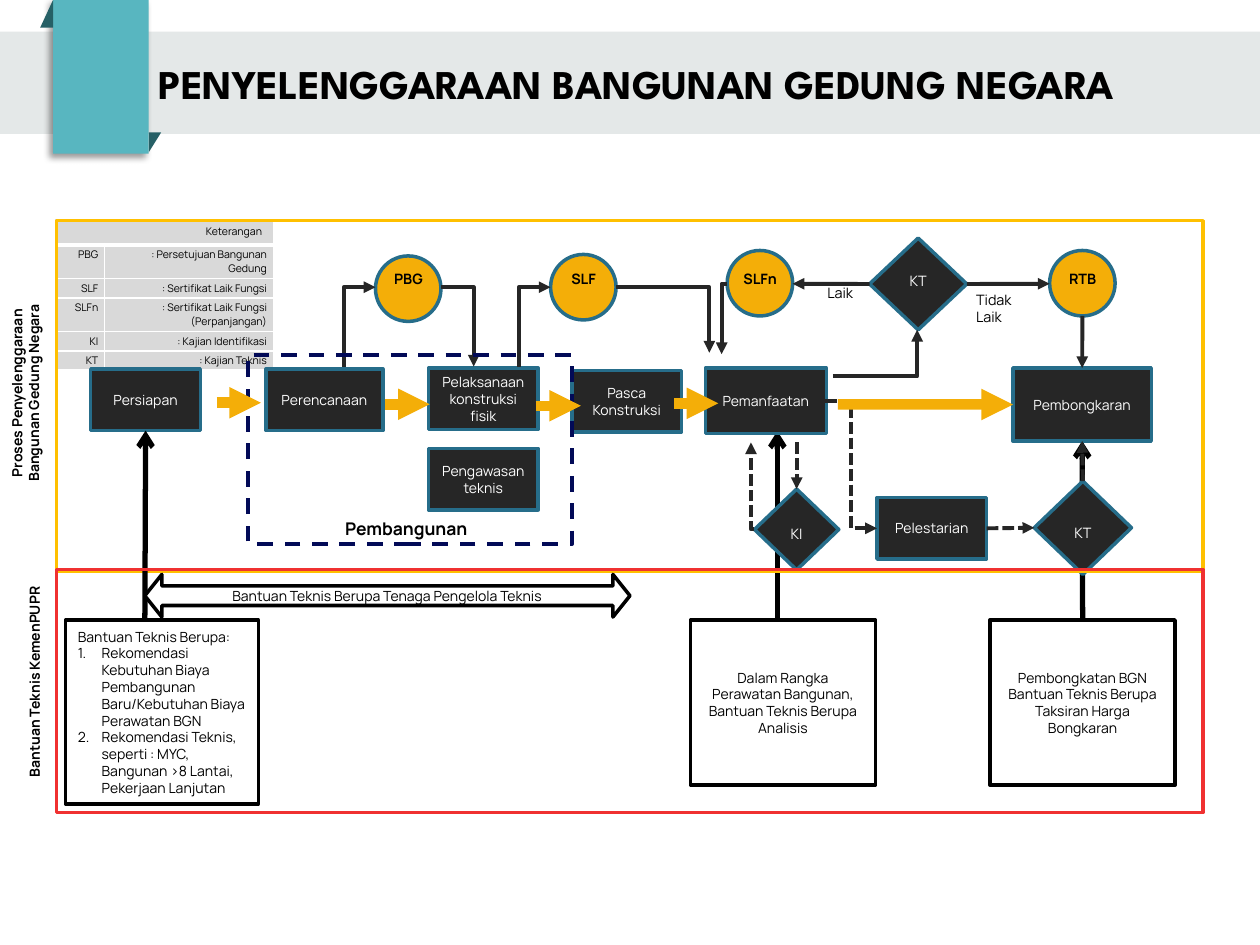
from dataclasses import dataclass

from lxml.etree import SubElement as Sub
from pptx import Presentation
from pptx.dml.color import RGBColor as RGB
from pptx.enum.dml import MSO_LINE as Dash
from pptx.enum.shapes import MSO_CONNECTOR as Con, MSO_SHAPE as Form
from pptx.enum.text import MSO_ANCHOR as Anchor, PP_ALIGN as Align
from pptx.oxml.ns import qn
from pptx.util import Cm, Pt


@dataclass(frozen=True)
class Theme:
    body: str = "Manrope"
    head: str = "League Spartan"
    black: str = "000000"
    white: str = "FFFFFF"
    dark: str = "262626"
    edge: str = "266D8A"
    gold: str = "F4AE08"
    band: str = "E4E8E8"
    teal: str = "58B6C0"
    fold: str = "266060" + ""
    grey: str = "D9D9D9"
    navy: str = "020A57"
    amber: str = "FFC000"
    red: str = "F03131"
    title: float = 23.3
    group: float = 10
    mark: float = 8.2
    text: float = 8
    key: float = 6


T = Theme(fold="266066")
MID, LEFT, RIGHT = Align.CENTER, Align.LEFT, Align.RIGHT
TOP_SIDE, LEFT_SIDE, LOW_SIDE, RIGHT_SIDE = range(4)
KEYS = [
    ("PBG", ": Persetujuan Bangunan Gedung"),
    ("SLF", ": Sertifikat Laik Fungsi"),
    ("SLFn", ": Sertifikat Laik Fungsi (Perpanjangan)"),
    ("KI", ": Kajian Identifikasi"),
    ("KT", ": Kajian Teknis"),
]


def write(frame, text, size=T.text, color=T.black, font=T.body, bold=False,
          align=MID, hang=0, listed=False):
    """Fill a frame, one paragraph a line; listed numbers all but the first."""
    for i, line in enumerate(text.split("\n")):
        para = frame.add_paragraph() if i else frame.paragraphs[0]
        para.alignment = align
        if hang:
            prop = para._p.get_or_add_pPr()
            prop.set("marL", str(Cm(hang)))
            prop.set("indent", str(-Cm(hang)))
            if listed and i:
                Sub(prop, qn("a:buAutoNum"), type="arabicPeriod")
        run = para.add_run()
        run.text = line
        run.font.name, run.font.size, run.font.bold = font, Pt(size), bold
        run.font.color.rgb = RGB.from_string(color)


def paint(shape, fill=None, edge=None, width=2):
    shape.shadow.inherit = False
    if fill:
        shape.fill.solid()
        shape.fill.fore_color.rgb = RGB.from_string(fill)
    else:
        shape.fill.background()
    if edge:
        shape.line.color.rgb = RGB.from_string(edge)
        shape.line.width = Pt(width)
    else:
        shape.line.fill.background()
    return shape


def block(slide, x, y, w, h, text="", form=Form.RECTANGLE, fill=None,
          edge=None, width=2, **style):
    shape = slide.shapes.add_shape(form, Cm(x), Cm(y), Cm(w), Cm(h))
    paint(shape, fill, edge, width)
    if text:
        shape.text_frame.word_wrap = True
        shape.text_frame.vertical_anchor = Anchor.MIDDLE
        write(shape.text_frame, text, **style)
    return shape


def step(slide, text, x, y, w=2.21, h=1.24):
    return block(slide, x, y, w, h, text, fill=T.dark, edge=T.edge,
                 color=T.white)


def label(slide, text, x, y, w, h=0.61, turn=0, wrap=True, **style):
    box = slide.shapes.add_textbox(Cm(x), Cm(y), Cm(w), Cm(h))
    box.rotation = turn
    box.text_frame.word_wrap = wrap
    write(box.text_frame, text, **style)


def permit(slide, text, x, y):
    block(slide, x, y, 1.32, 1.32, form=Form.OVAL, fill=T.gold, edge=T.edge)
    label(slide, text, x + 0.07, 5.33, 1.19, wrap=False, size=T.mark, bold=True)


def study(slide, text, x, y, w, h, top):
    gem = block(slide, x, y, w, h, form=Form.DIAMOND, fill=T.dark, edge=T.edge)
    label(slide, text, x + w / 2 - 0.6, top, 1.2, wrap=False, size=T.mark,
          color=T.white)
    return gem


def link(slide, start, stop, color=T.dark, width=2.25, kind=Con.STRAIGHT,
         tip="triangle", end="tailEnd", dash=False, begin=None, goal=None):
    """Draw an arrow; begin and goal are (shape, side) to join."""
    wire = slide.shapes.add_connector(kind, *map(Cm, start + stop))
    wire.line.color.rgb = RGB.from_string(color)
    wire.line.width = Pt(width)
    if dash:
        wire.line.dash_style = Dash.SQUARE_DOT
    Sub(wire.line._get_or_add_ln(), qn("a:" + end), type=tip)
    Sub(wire._element.spPr, qn("a:effectLst"))
    if begin:
        wire.begin_connect(*begin)
    if goal:
        wire.end_connect(*goal)
    return wire


def bend(slide, start, stop, **style):
    """Draw an arrow that runs level first, then upright."""
    wire = link(slide, start, stop, kind=Con.ELBOW, **style)
    wire._element.spPr.find(qn("a:prstGeom")).set("prst", "bentConnector2")


def flow(slide, x, y, stop, **style):
    link(slide, (x, y), (stop, y), color=T.gold, width=6, **style)


def rise(slide, x, y):
    return link(slide, (x, 12.5), (x, y), color=T.black, width=3, tip="arrow")


def fold(slide, first, *rest):
    path = slide.shapes.build_freeform(*map(Cm, first))
    path.add_line_segments([tuple(map(Cm, p)) for p in rest], close=True)
    paint(path.convert_to_shape(), T.fold)


def header(slide):
    bar = block(slide, 0, 0.64, 25.4, 2.06,
                "PENYELENGGARAAN BANGUNAN GEDUNG NEGARA", fill=T.band,
                font=T.head, size=T.title, bold=True, align=LEFT)
    bar.text_frame.margin_left = Cm(3.2)
    flag = block(slide, 1.07, 0, 1.93, 3.1, fill=T.teal)
    cast = Sub(flag._element.spPr.find(qn("a:effectLst")), qn("a:outerShdw"),
               blurRad=str(Pt(4)), dist=str(Pt(3)), dir="8100000")
    tint = Sub(cast, qn("a:srgbClr"), val=T.black)
    Sub(tint, qn("a:alpha"), val="40000")
    fold(slide, (1.07, 0), (1.07, 0.56), (0.81, 0.56))
    fold(slide, (3, 3.07), (3, 2.67), (3.25, 2.67))


def fill_cell(cell, text, side, top, low=1):
    cell.margin_left = cell.margin_right = Cm(side)
    cell.margin_top = cell.margin_bottom = Cm(top)
    write(cell.text_frame, text, size=T.key, align=RIGHT)
    prop = cell._tc.get_or_add_tcPr()
    for edge, width in (("lnL", 1), ("lnR", 1), ("lnT", 1), ("lnB", low)):
        line = Sub(prop, qn("a:" + edge), w=str(Pt(width)))
        Sub(Sub(line, qn("a:solidFill")), qn("a:srgbClr"), val=T.white)
    cell.fill.solid()
    cell.fill.fore_color.rgb = RGB.from_string(T.grey)


def legend(slide):
    table = slide.shapes.add_table(6, 2, Cm(1.09), Cm(4.39), Cm(4.42),
                                   Cm(2.72)).table
    table.first_row = table.horz_banding = False
    for col, w in zip(table.columns, (1.02, 3.4)):
        col.width = Cm(w)
    for row, h in zip(table.rows, (0.51, 0.38, 0.38, 0.66, 0.38, 0.38)):
        row.height = Cm(h)
    table.cell(0, 0).merge(table.cell(0, 1))
    fill_cell(table.cell(0, 0), "Keterangan", 0.23, 0.13, low=3)
    for r, pair in enumerate(KEYS, 1):
        for c, text in enumerate(pair):
            fill_cell(table.cell(r, c), text, 0.13, 0.05)


def process(slide):
    step(slide, "Pasca Konstruksi", 11.53, 7.47)
    last, care = rise(slide, 21.82, 8.89), rise(slide, 15.67, 8.69)
    legend(slide)
    step(slide, "Perencanaan", 5.36, 7.44, 2.36)
    step(slide, "Pelaksanaan konstruksi fisik", 8.64, 7.42)
    step(slide, "Pemanfaatan", 14.22, 7.42, 2.44, 1.32)
    raze = step(slide, "Pembongkaran", 20.42, 7.42, 2.79, 1.47)
    keep = step(slide, "Pelestarian", 17.68, 10.03)
    for text, x, y in (("PBG", 7.57, 5.16), ("SLF", 11.1, 5.13),
                       ("SLFn", 14.66, 5.05), ("RTB", 21.16, 5.05)):
        permit(slide, text, x, y)
    check = study(slide, "KT", 17.53, 4.8, 1.96, 1.85, 5.36)
    ident = study(slide, "KI", 15.21, 9.86, 1.7, 1.63, 10.46)
    final = study(slide, "KT", 20.85, 9.7, 1.96, 1.88, 10.44)
    last.end_connect(raze, LOW_SIDE)

    bend(slide, (7.57, 5.79), (6.93, 7.39), end="headEnd")
    bend(slide, (8.89, 5.79), (9.55, 7.39))
    bend(slide, (11.1, 5.79), (10.46, 7.39), end="headEnd")
    bend(slide, (12.42, 5.79), (14.3, 7.11))
    bend(slide, (14.66, 5.72), (14.55, 7.14))
    bend(slide, (16.79, 7.59), (18.49, 6.65))
    bend(slide, (15.21, 10.67), (15.14, 8.92), dash=True)
    link(slide, (16.64, 8.08), (17.68, 10.65), kind=Con.ELBOW, dash=True)
    link(slide, (17.53, 5.72), (15.98, 5.72), begin=(check, LEFT_SIDE))
    link(slide, (19.49, 5.72), (21.16, 5.72), begin=(check, RIGHT_SIDE))
    link(slide, (21.82, 6.37), (21.82, 7.42), goal=(raze, TOP_SIDE))
    link(slide, (16.06, 8.92), (16.06, 9.86), dash=True, goal=(ident, TOP_SIDE))
    link(slide, (19.89, 10.65), (20.85, 10.64), dash=True,
         begin=(keep, RIGHT_SIDE), goal=(final, LEFT_SIDE))
    link(slide, (21.82, 9.7), (21.82, 8.89), dash=True,
         begin=(final, TOP_SIDE), goal=(raze, LOW_SIDE))
    flow(slide, 16.89, 8.15, 20.42, goal=(raze, LEFT_SIDE))
    flow(slide, 7.77, 8.15, 8.66)

    build = block(slide, 5, 7.16, 6.53, 3.81, edge=T.navy, width=2.25)
    build.line.dash_style = Dash.DASH
    label(slide, "Pembangunan", 6.71, 10.31, 3.51, size=T.group, bold=True,
          align=LEFT)
    label(slide, "Laik", 16.43, 5.61, 1.24, size=T.mark, align=LEFT)
    label(slide, "Tidak Laik", 19.43, 5.74, 1.63, size=T.mark, align=LEFT)
    flow(slide, 10.8, 8.18, 11.71)
    block(slide, 1.14, 4.45, 23.11, 7.06, edge=T.amber)
    flow(slide, 4.37, 8.12, 5.26)
    flow(slide, 13.59, 8.13, 14.48)
    step(slide, "Pengawasan teknis", 8.64, 9.04)
    return last, step(slide, "Persiapan", 1.83, 7.44)


def support(slide, last, prep):
    block(slide, 1.32, 12.5, 3.89, 3.71,
          "Bantuan Teknis Berupa:\n"
          "Rekomendasi Kebutuhan Biaya Pembangunan Baru/Kebutuhan Biaya "
          "Perawatan BGN\n"
          "Rekomendasi Teknis, seperti : MYC, Bangunan >8 Lantai, Pekerjaan "
          "Lanjutan", edge=T.black, align=LEFT, hang=0.48, listed=True)
    rise(slide, 2.92, 8.69).end_connect(prep, LOW_SIDE)
    span = block(slide, 2.92, 11.58, 9.78, 0.86,
                 "Bantuan Teknis Berupa Tenaga Pengelola Teknis",
                 form=Form.LEFT_RIGHT_ARROW, fill=T.white, edge=T.black)
    span.adjustments[0], span.adjustments[1] = 0.46, 0.4
    block(slide, 13.92, 12.5, 3.73, 3.33, "Dalam Rangka Perawatan Bangunan, "
          "Bantuan Teknis Berupa Analisis", edge=T.black)
    taxed = block(slide, 19.96, 12.5, 3.73, 3.33, "Pembongkatan BGN Bantuan "
                  "Teknis Berupa Taksiran Harga Bongkaran", edge=T.black)
    last.begin_connect(taxed, TOP_SIDE)
    block(slide, 1.14, 11.48, 23.11, 4.9, edge=T.red)


def main():
    deck = Presentation()
    deck.slide_width, deck.slide_height = Cm(25.4), Cm(19.05)
    slide = deck.slides.add_slide(deck.slide_layouts[6])
    header(slide)
    support(slide, *process(slide))
    label(slide, "Proses Penyelenggaraan Bangunan Gedung Negara", -2.06, 7.44,
          5.18, 0.97, turn=270, bold=True)
    label(slide, "Bantuan Teknis KemenPUPR", -1.52, 13.39, 4.45, turn=270,
          wrap=False, bold=True, align=LEFT)
    deck.save("out.pptx")


if __name__ == "__main__":
    main()
